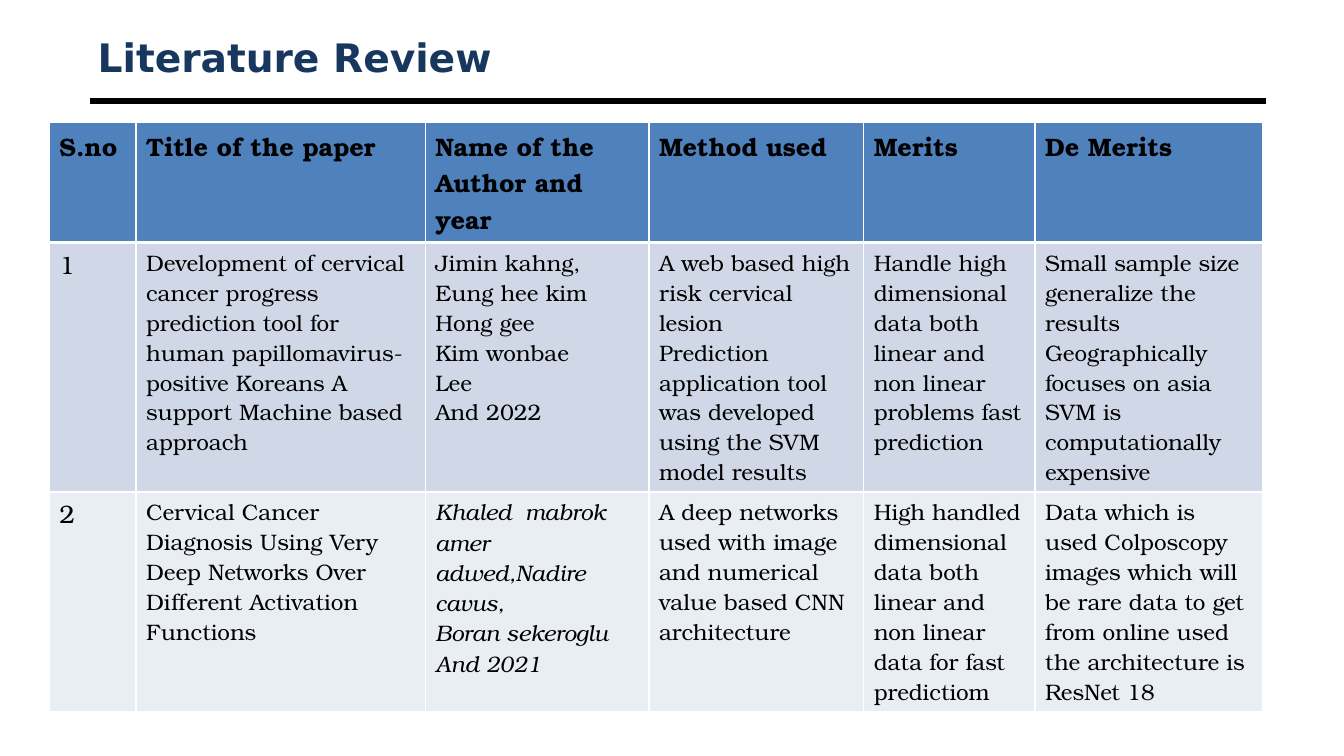
from dataclasses import dataclass

from lxml.etree import SubElement
from pptx import Presentation
from pptx.dml.color import RGBColor as RGB
from pptx.enum.shapes import MSO_CONNECTOR as CONNECTOR
from pptx.enum.text import MSO_ANCHOR as ANCHOR, PP_ALIGN as ALIGN
from pptx.oxml.ns import qn
from pptx.util import Pt


@dataclass(frozen=True)
class Theme:
    title_font: str = "DejaVu Sans"
    table_font: str = "TeX Gyre Bonum"
    title_color: str = "17375E"
    ink: str = "000000"
    grid: str = "FFFFFF"
    header_fill: str = "4F81BD"
    band_fills: tuple = ("D0D8E8", "E9EDF4")
    title_size: float = 28
    label_size: float = 18
    body_size: float = 16
    rule_width: float = 4.5
    grid_width: float = 1
    header_edge: float = 3


THEME = Theme()
COLUMN_WIDTHS = (61.9, 206.6, 159.8, 153.4, 122.4, 162.7)
ROW_HEIGHTS = (66.2, 149, 27.4)
HEADINGS = ("S.no", "Title of the paper", "Name of the Author and year",
            "Method used", "Merits", "De Merits")
PAPERS = (
    ("1",
     "Development of cervical cancer progress prediction tool for human "
     "papillomavirus- positive Koreans A support Machine based approach",
     ("Jimin kahng,", "Eung hee kim", "Hong gee", "Kim wonbae", "Lee", "And 2022"),
     ("A web based high risk cervical lesion",
      "Prediction application tool was developed using the SVM model results"),
     "Handle high dimensional data both linear and non linear problems fast prediction",
     "Small sample size generalize the results Geographically focuses on asia "
     "SVM is computationally expensive"),
    ("2",
     "Cervical Cancer Diagnosis Using Very Deep Networks Over Different "
     "Activation Functions",
     ("Khaled  mabrok amer adwed,Nadire cavus, \nBoran sekeroglu", "And 2021"),
     "A deep networks used with image and numerical value based CNN architecture",
     "High handled dimensional data both linear and non linear data for fast predictiom",
     "Data which is used Colposcopy images which will be rare data to get from "
     "online used the architecture is ResNet 18"),
)
ITALIC_CELL = (2, 2)


def add_run(paragraph, text, font, size, color, bold=False, italic=False):
    run = paragraph.add_run()
    run.text = text
    run.font.name = font
    run.font.size = Pt(size)
    run.font.color.rgb = RGB.from_string(color)
    run.font.bold = bold
    run.font.italic = italic


def add_heading(slide, left, top, width, height):
    title = slide.shapes.title
    title.left, title.top = Pt(left), Pt(top)
    title.width, title.height = Pt(width), Pt(height)
    frame = title.text_frame
    frame.word_wrap = True
    frame.vertical_anchor = ANCHOR.MIDDLE
    paragraph = frame.paragraphs[0]
    paragraph.alignment = ALIGN.LEFT
    add_run(paragraph, "Literature Review", THEME.title_font, THEME.title_size,
            THEME.title_color, bold=True)

    rule_left, rule_top = left + 1.4, top + height + 12.2
    rule = slide.shapes.add_connector(
        CONNECTOR.STRAIGHT, Pt(rule_left), Pt(rule_top),
        Pt(rule_left + width), Pt(rule_top))
    rule.line.color.rgb = RGB.from_string(THEME.ink)
    rule.line.width = Pt(THEME.rule_width)
    SubElement(rule.element.spPr, qn("a:effectLst"))


def set_borders(cell, row):
    edges = {"lnL": THEME.grid_width, "lnR": THEME.grid_width,
             "lnT": THEME.header_edge if row == 1 else THEME.grid_width,
             "lnB": THEME.header_edge if row == 0 else THEME.grid_width}
    properties = cell._tc.get_or_add_tcPr()
    for edge, width in edges.items():
        border = SubElement(properties, qn(f"a:{edge}"), w=str(Pt(width)))
        fill = SubElement(border, qn("a:solidFill"))
        SubElement(fill, qn("a:srgbClr"), val=THEME.grid)


def fill_cell(cell, row, column, content):
    set_borders(cell, row)
    cell.fill.solid()
    cell.fill.fore_color.rgb = RGB.from_string(
        THEME.band_fills[(row - 1) % 2] if row else THEME.header_fill)
    cell.vertical_anchor = ANCHOR.TOP
    size = THEME.label_size if row == 0 or column == 0 else THEME.body_size
    entries = (content,) if isinstance(content, str) else content
    frame = cell.text_frame
    for index, entry in enumerate(entries):
        paragraph = frame.add_paragraph() if index else frame.paragraphs[0]
        for part, line in enumerate(entry.split("\n")):
            if part:
                paragraph.add_line_break()
            add_run(paragraph, line, THEME.table_font, size, THEME.ink,
                    bold=row == 0, italic=(row, column) == ITALIC_CELL)


def add_review_table(slide, left, top, width, height):
    holder = slide.shapes.add_table(len(ROW_HEIGHTS), len(COLUMN_WIDTHS),
                                    Pt(left), Pt(top), Pt(width), Pt(height))
    review = holder.table
    for column, column_width in zip(review.columns, COLUMN_WIDTHS):
        column.width = Pt(column_width)
    for row, row_height in zip(review.rows, ROW_HEIGHTS):
        row.height = Pt(row_height)
    holder.height = Pt(height)
    for row, contents in enumerate((HEADINGS, *PAPERS)):
        for column, content in enumerate(contents):
            fill_cell(review.cell(row, column), row, column, content)


def main():
    deck = Presentation()
    deck.slide_width, deck.slide_height = Pt(960), Pt(540)
    slide = deck.slides.add_slide(deck.slide_layouts[5])
    add_heading(slide, 62.6, 21.6, 840.2, 38.2)
    add_review_table(slide, 35.3, 87.1, 866.8, 374.4)
    deck.save("out.pptx")


if __name__ == "__main__":
    main()
